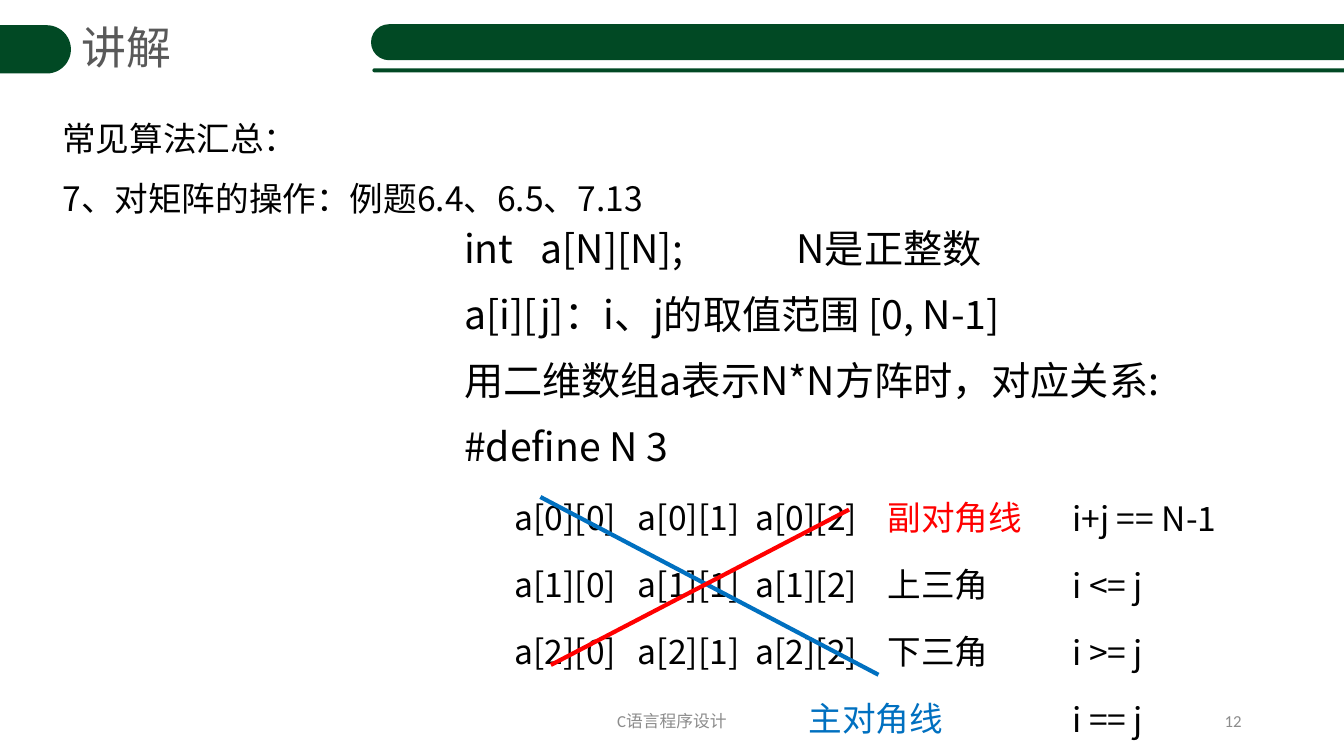
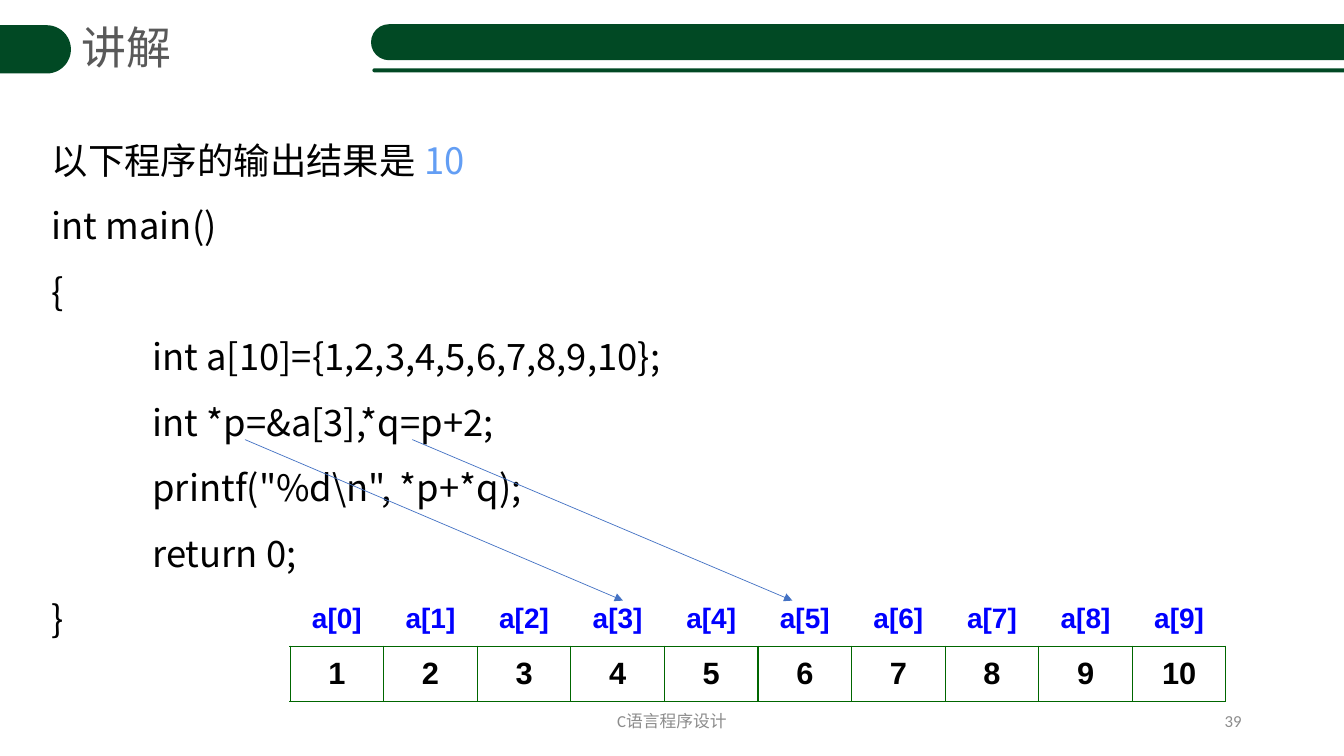
from dataclasses import dataclass

from pptx import Presentation
from pptx.dml.color import RGBColor as Rgb
from pptx.enum.shapes import MSO_CONNECTOR as Link, MSO_SHAPE as Form
from pptx.enum.text import MSO_ANCHOR as Anchor, PP_ALIGN as Align
from pptx.oxml.ns import qn
from pptx.util import Pt
from lxml.etree import SubElement as Sub


@dataclass(frozen=True)
class Theme:
    green: str = "014924"
    gray: str = "595959"
    pale: str = "8C8C8C"
    black: str = "000000"
    white: str = "FFFFFF"
    red: str = "FF0000"
    blue: str = "0070C0"
    sky: str = "639EF4"
    arrow: str = "4472C4"
    index: str = "0000FF"
    grid: str = "006600"
    main: str = "Noto Sans CJK SC"
    foot: str = "Calibri"
    cell: str = "Arial"
    title: int = 32
    large: int = 28
    code: int = 26
    body: int = 24
    value: int = 22
    label: int = 20
    small: int = 12


T = Theme()


def write(frame, rows, size, color=T.black, face=T.main, bold=False, **look):
    for n, row in enumerate(rows):
        para = frame.paragraphs[0] if n == 0 else frame.add_paragraph()
        form = {**look, **row.get("look", {})}
        if n == 0:
            form.pop("space_before", None)
        for key, val in form.items():
            setattr(para, key, val)
        if "tabs" in row:
            stops = Sub(para._p.get_or_add_pPr(), qn("a:tabLst"))
            for stop in row["tabs"]:
                Sub(stops, qn("a:tab"), pos=str(Pt(stop)), algn="l")
        for words, tint in row["runs"]:
            run = para.add_run()
            run.text = words
            font = {"size": Pt(row.get("size", size)), "bold": bold, "name": face}
            for key, val in font.items():
                setattr(run.font, key, val)
            run.font.color.rgb = Rgb.from_string(tint or color)
            Sub(run._r.get_or_add_rPr(), qn("a:ea"), typeface=face)


def put(slide, spot, rows, size, anchor=Anchor.TOP, **look):
    frame = slide.shapes.add_textbox(*map(Pt, spot)).text_frame
    frame.word_wrap = True
    frame.vertical_anchor = anchor
    rows = [{"runs": [(row, None)]} if isinstance(row, str) else row for row in rows]
    write(frame, rows, size, **look)


deck = Presentation()
deck.slide_width, deck.slide_height = Pt(960), Pt(540)

BANDS = [(-20, 18, 70.7, 34.5), (265, 17.3, 732, 25.7), (266, 48.8, 732, 2.9)]
pages = []
for number in ("12", "39"):
    slide = deck.slides.add_slide(deck.slide_layouts[6])
    pages.append(slide)
    for spot in BANDS:
        band = slide.shapes.add_shape(Form.ROUNDED_RECTANGLE, *map(Pt, spot))
        band.adjustments[0] = 0.5
        band.shadow.inherit = False
        band.fill.solid()
        band.fill.fore_color.rgb = Rgb.from_string(T.green)
        band.line.fill.background()
    put(slide, (51, 10.8, 90, 46), ["讲解"], T.title, color=T.gray)
    for left, wide, words, side in (
        (678, 216, number, Align.RIGHT),
        (318, 324, "C语言程序设计", Align.CENTER),
    ):
        put(slide, (left, 500.5, wide, 28.8), [words], T.small, Anchor.MIDDLE,
            color=T.pale, face=T.foot, alignment=side)

matrix, memory = pages

put(matrix, (37.5, 66.2, 437, 89.3),
    ["常见算法汇总：", "7、对矩阵的操作：例题6.4、6.5、7.13"], T.body, line_spacing=1.5)

intro = [
    "int\ta[N][N];\tN是正整数",
    "a[i][j]：i、j的取值范围 [0, N-1]",
    "用二维数组a表示N*N方阵时，对应关系:",
    "#define N 3",
]
rows = [{"runs": [(line, None)], "tabs": (54.5, 237.5)} for line in intro]
wide = {"line_spacing": 1.5, "space_before": Pt(4.8)}
for i, (name, tint) in enumerate((("副对角线", T.red), ("上三角", None), ("下三角", None))):
    cells = "".join(f"\ta[{i}][{j}]" for j in range(3))
    rows.append({"runs": [(cells + "\t", None), (name, tint)],
                 "tabs": (36, 124, 208, 302.5), "size": T.body, "look": wide})
rows.append({"runs": [("\t主对角线", T.blue)], "tabs": (246,), "size": T.body, "look": wide})
put(matrix, (324.5, 148.3, 618, 396), rows, T.large,
    line_spacing=1.24, space_before=Pt(5.7))
put(matrix, (758.9, 337.5, 189, 198), ["i+j == N-1", "i <= j", "i >= j", "i == j"],
    T.body, **wide)

code = [
    "int a[10]={1,2,3,4,5,6,7,8,9,10};",
    "int *p=&a[3],*q=p+2;",
    "printf(\"%d\\n\", *p+*q);",
    "return 0;",
]
put(memory, (29.8, 157.7, 450, 224.6), [
    {"runs": [("以下程序的输出结果是 ", None), ("10", T.sky)]},
    "int main()",
    "{",
    *({"runs": [("\t" + line, None)], "tabs": (72,)} for line in code),
    "}",
], T.code, Anchor.MIDDLE, line_spacing=1.5)

COUNT, STEP, TALL = 5, 66.85, 39.6
for part in range(2):
    first = part * COUNT
    table = memory.shapes.add_table(
        2, COUNT, Pt(207.2 + first * STEP), Pt(421.9),
        Pt(STEP * COUNT), Pt(TALL * 2)).table
    table.first_row = table.horz_banding = False
    for row in table.rows:
        row.height = Pt(TALL)
    for j, col in enumerate(table.columns):
        col.width = Pt(STEP)
        for i, (words, size, tint, sides) in enumerate((
            (f"a[{first + j}]", T.label, T.index, "B"),
            (str(first + j + 1), T.value, T.black, "LRTB"),
        )):
            cell = table.cell(i, j)
            box = {"margin_left": 0, "margin_right": 0, "margin_top": 0,
                   "margin_bottom": 0, "vertical_anchor": Anchor.MIDDLE}
            for key, val in box.items():
                setattr(cell, key, val)
            for side in sides:
                edge = Sub(cell._tc.get_or_add_tcPr(), qn(f"a:ln{side}"), w=str(Pt(1)))
                Sub(Sub(edge, qn("a:solidFill")), qn("a:srgbClr"), val=T.grid)
            cell.fill.solid()
            cell.fill.fore_color.rgb = Rgb.from_string(T.white)
            write(cell.text_frame, [{"runs": [(words, tint)]}], size,
                  face=T.cell, bold=True, alignment=Align.CENTER)

for slide, ends, tint, thick, tip in (
    (matrix, (386, 355, 627.5, 482), T.blue, 3, False),
    (matrix, (393.5, 475, 606.5, 364), T.red, 3, False),
    (memory, (175, 314, 445, 429), T.arrow, 0.5, True),
    (memory, (294.5, 314, 566, 429), T.arrow, 0.5, True),
):
    line = slide.shapes.add_connector(Link.STRAIGHT, *map(Pt, ends))
    line.line.color.rgb = Rgb.from_string(tint)
    line.line.width = Pt(thick)
    if tip:
        Sub(line.line._get_or_add_ln(), qn("a:tailEnd"), type="triangle")
    Sub(line._element.spPr, qn("a:effectLst"))

deck.save("out.pptx")
